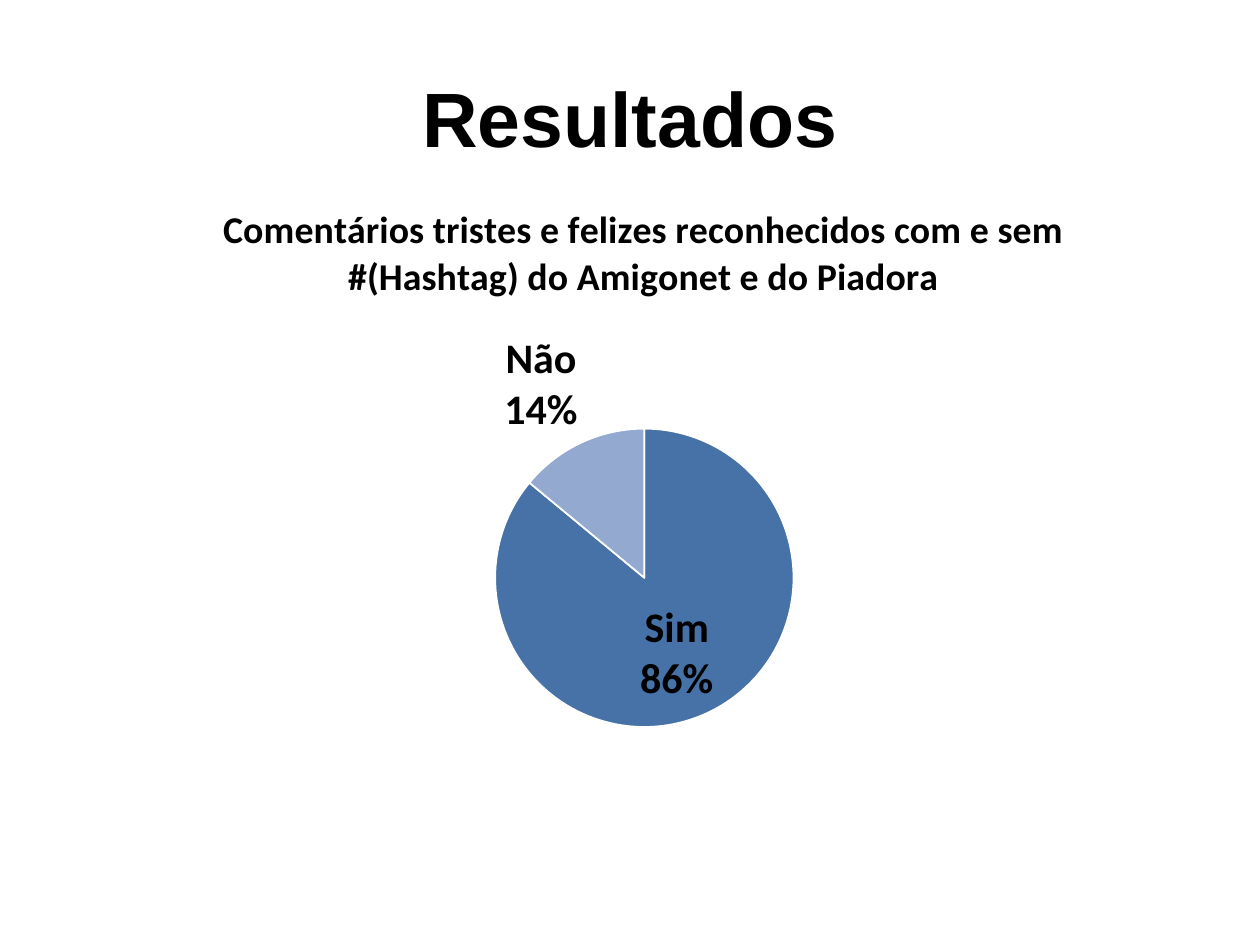
from lxml import etree
from pptx import Presentation
from pptx.chart.data import CategoryChartData
from pptx.dml.color import RGBColor
from pptx.enum.chart import XL_CHART_TYPE, XL_LABEL_POSITION
from pptx.enum.text import MSO_ANCHOR, PP_ALIGN
from pptx.oxml import parse_xml
from pptx.oxml.ns import nsdecls, qn
from pptx.util import Inches, Pt

PIE = XL_CHART_TYPE.PIE
BEST_FIT = XL_LABEL_POSITION.BEST_FIT
MIDDLE = MSO_ANCHOR.MIDDLE
CENTER = PP_ALIGN.CENTER
BLACK = RGBColor(0x00, 0x00, 0x00)
WHITE = RGBColor(0xFF, 0xFF, 0xFF)
BLUE = RGBColor(0x46, 0x72, 0xA8)
LIGHT_BLUE = RGBColor(0x93, 0xA9, 0xCF)

TITLE = "Resultados"
CHART_TITLE = ("Comentários tristes e felizes reconhecidos com e sem "
               "#(Hashtag) do Amigonet e do Piadora")
ANSWERS = [("Sim", 86, BLUE), ("Não", 14, LIGHT_BLUE)]
TITLE_BOX = (0.5, 0.3, 9, 1.25)
CHART_BOX = (0.5, 1.39, 9.22, 5.31)
PIE_BOX = (3.93, 3.4, 2.37, 2.37)

TITLE_FONT = {"name": "Arial", "size": Pt(44), "bold": True}
CHART_FONT = {"name": "Calibri", "size": Pt(18)}
CHART_TITLE_FONT = {"name": "Calibri", "size": Pt(21.6), "bold": True}
LABEL_FONT = {"name": "Calibri", "size": Pt(24), "bold": True}
LABEL_CONTENT = {"show_value": False, "show_category_name": True,
                 "show_percentage": True, "position": BEST_FIT}


def apply(target, values):
    for name, value in values.items():
        setattr(target, name, value)


def format_font(font, values):
    apply(font, values)
    font.color.rgb = BLACK


def add_title(slide):
    title = slide.shapes.title
    apply(title, dict(zip(("left", "top", "width", "height"), map(Inches, TITLE_BOX))))
    frame = title.text_frame
    frame.text = TITLE
    frame.vertical_anchor = MIDDLE
    paragraph = frame.paragraphs[0]
    paragraph.alignment = CENTER
    format_font(paragraph.runs[0].font, TITLE_FONT)


def place_pie(chart):
    left, top, width, height = CHART_BOX
    pie_left, pie_top, pie_width, pie_height = PIE_BOX
    fractions = {"x": (pie_left - left) / width, "y": (pie_top - top) / height,
                 "w": pie_width / width, "h": pie_height / height}
    modes = '<c:layoutTarget val="inner"/><c:xMode val="edge"/><c:yMode val="edge"/>'
    sizes = "".join(f'<c:{key} val="{value:.3f}"/>' for key, value in fractions.items())
    plot_area = chart.plots[0]._element.getparent()
    for layout in plot_area.findall(qn("c:layout")):
        plot_area.remove(layout)
    plot_area.insert(0, parse_xml(
        f'<c:layout {nsdecls("c")}><c:manualLayout>{modes}{sizes}</c:manualLayout></c:layout>'))


def add_pie(slide):
    data = CategoryChartData()
    data.categories = [name for name, _, _ in ANSWERS]
    data.add_series(CHART_TITLE, [value for _, value, _ in ANSWERS])
    chart = slide.shapes.add_chart(PIE, *map(Inches, CHART_BOX), data).chart
    chart.has_legend = False
    format_font(chart.font, CHART_FONT)
    title_frame = chart.chart_title.text_frame
    title_frame.text = CHART_TITLE
    format_font(title_frame.paragraphs[0].runs[0].font, CHART_TITLE_FONT)
    place_pie(chart)

    series = chart.plots[0].series[0]
    for index, (_, _, color) in enumerate(ANSWERS):
        slice_format = series.points[index].format
        slice_format.fill.solid()
        slice_format.fill.fore_color.rgb = color
        slice_format.line.color.rgb = WHITE
        slice_format.line.width = Pt(1)

    labels = series.data_labels
    apply(labels, LABEL_CONTENT)
    format_font(labels.font, LABEL_FONT)
    separator = etree.Element(qn("c:separator"))
    separator.text = "\n"
    labels._element.find(qn("c:showPercent")).addnext(separator)
    bubble_size = labels._element.find(qn("c:showBubbleSize"))
    if bubble_size is not None:
        bubble_size.addnext(separator)


def main():
    presentation = Presentation()
    presentation.slide_width = Inches(10)
    presentation.slide_height = Inches(7.5)
    slide = presentation.slides.add_slide(presentation.slide_layouts[5])
    add_title(slide)
    add_pie(slide)
    presentation.save("out.pptx")


if __name__ == "__main__":
    main()
